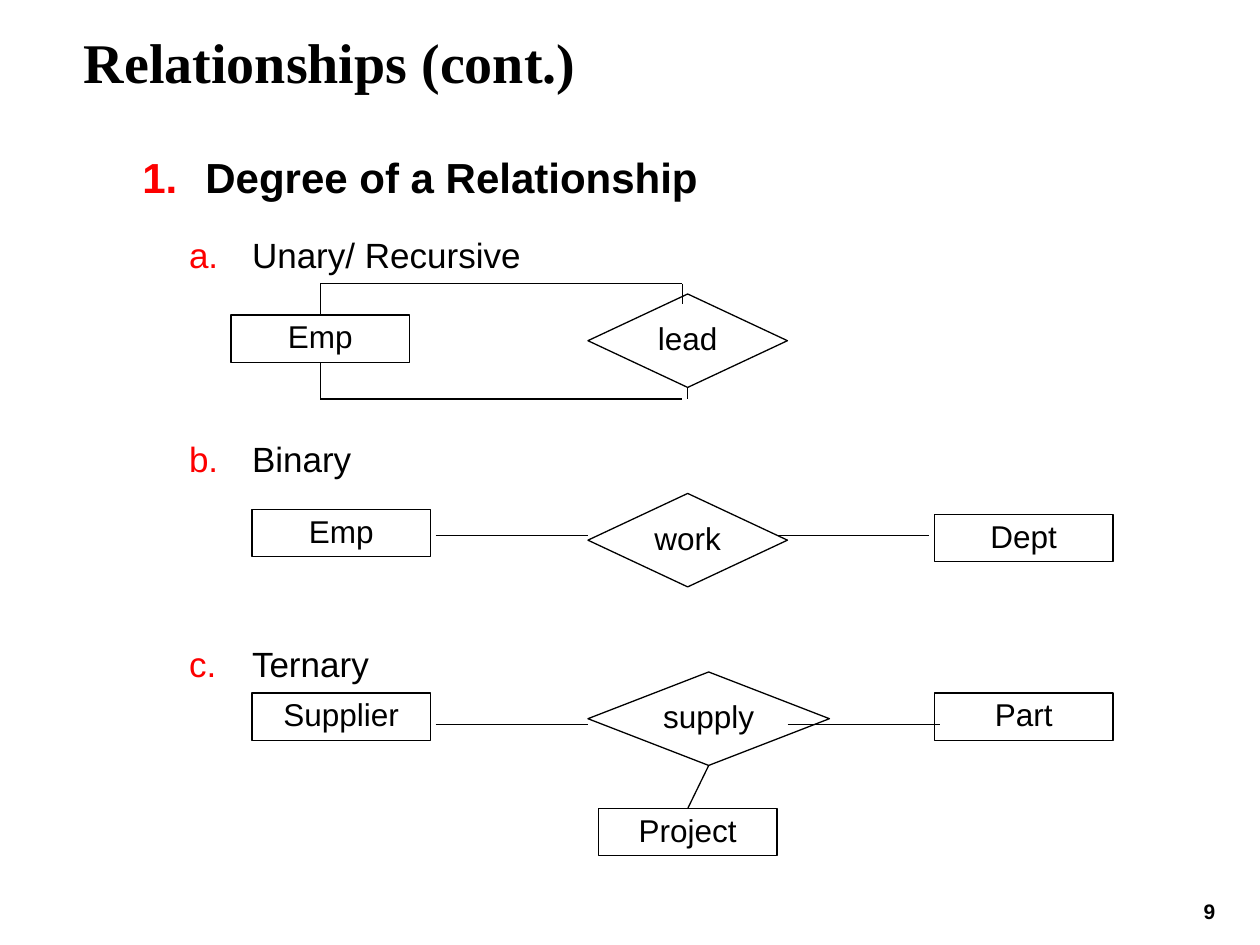
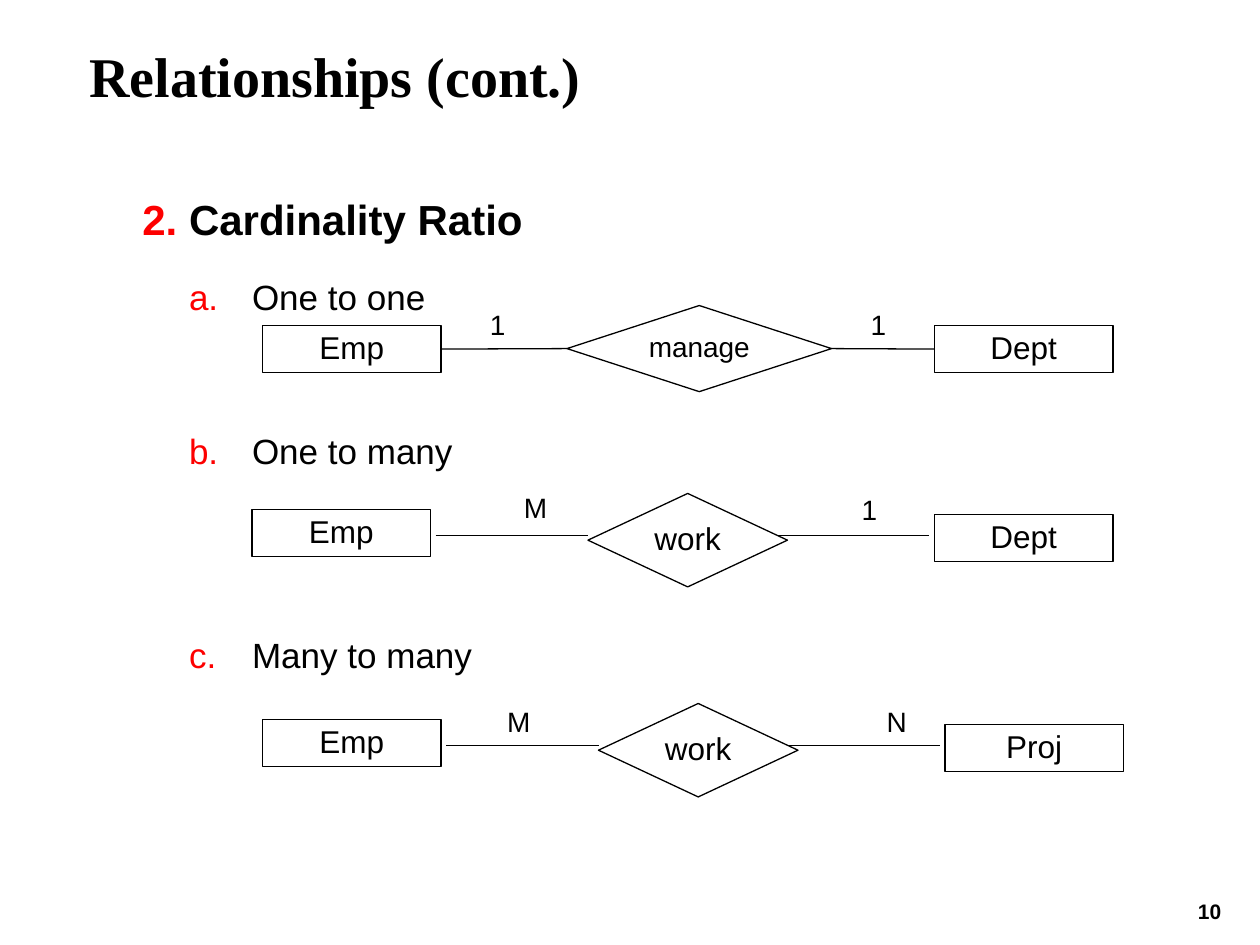
from dataclasses import dataclass, field

import pptx
import pptx.dml.color
import pptx.enum.shapes
import pptx.enum.text
import pptx.oxml.ns
import pptx.util
from lxml import etree

SLIDE_WIDTH = pptx.util.Inches(10)
SLIDE_HEIGHT = pptx.util.Inches(7.5)
COLUMNS, ROWS = 240, 180
INK, NUMBER_RED = "000000", "FD0000"
BODY_FONT, TITLE_FONT = "Arial", "Times New Roman"
TOP, LEFT, BOTTOM, RIGHT = range(4)
RECTANGLE = pptx.enum.shapes.MSO_SHAPE.RECTANGLE
DIAMOND = pptx.enum.shapes.MSO_SHAPE.FLOWCHART_DECISION
ANCHOR = pptx.enum.text.MSO_ANCHOR
ALIGN = pptx.enum.text.PP_ALIGN
LINE_PITCH = 29  # points taken by one empty 20 pt outline row
ITEM_SPACE = 6


@dataclass(frozen=True)
class Node:
    """An entity or a relationship, placed in grid units."""
    text: str
    left: float
    top: float
    width: float = 34
    height: float = 9
    kind: int = RECTANGLE
    size: int = 18


@dataclass(frozen=True)
class Joint:
    node: Node
    site: int


@dataclass(frozen=True)
class Point:
    column: float
    row: float


@dataclass(frozen=True)
class Link:
    start: Point | Joint
    end: Point | Joint


@dataclass(frozen=True)
class Label:
    text: str
    left: float
    top: float


@dataclass
class Diagram:
    nodes: list[Node]
    links: list[Link]
    labels: list[Label] = field(default_factory=list)


@dataclass(frozen=True)
class Item:
    text: str
    rows_skipped: int = 0


@dataclass
class Page:
    number: int
    title_at: Point
    outline_top: float
    heading: str
    heading_number: int
    heading_margin: float
    heading_hang: float
    items: list[Item]
    diagrams: list[Diagram]


def x(columns: float) -> int:
    return round(SLIDE_WIDTH * columns / COLUMNS)


def y(rows: float) -> int:
    return round(SLIDE_HEIGHT * rows / ROWS)


def color(value: str) -> pptx.dml.color.RGBColor:
    return pptx.dml.color.RGBColor.from_string(value)


def relationship(text: str, left: float, top: float, width: float = 38,
                 height: float = 17.8, size: int = 18) -> Node:
    return Node(text, left, top, width, height, DIAMOND, size)


def horizontal(left: float, right: float, row: float) -> Link:
    return Link(Point(left, row), Point(right, row))


def unary() -> Diagram:
    employee = Node("Emp", 44, 60)
    lead = relationship("lead", 112, 56)
    upper, lower = Point(61, 54), Point(61, 76)
    upper_end = Point(130, 54)
    return Diagram([employee, lead], [
        Link(Joint(employee, TOP), upper),
        Link(upper, upper_end),
        Link(upper_end, Point(130, 58)),
        Link(lower, Point(130, 76)),
        Link(lower, Joint(employee, BOTTOM)),
        Link(Point(131, 76), Joint(lead, BOTTOM)),
    ])


def work_row(other: str, left: float, top: float, *labels: Label) -> Diagram:
    """Emp - work - other; left and top are those of the Emp box."""
    nodes = [Node("Emp", left, top), Node(other, left + 130, top + 1),
             relationship("work", left + 64, top - 3)]
    links = [horizontal(left + start, left + start + 29, top + 5)
             for start in (35, 100)]
    return Diagram(nodes, links, list(labels))


def ternary() -> Diagram:
    project = Node("Project", 114, 154)
    supply = relationship("supply", 112, 128, 46)
    nodes = [Node("Supplier", 48, 132), Node("Part", 178, 132), project, supply]
    return Diagram(nodes, [
        horizontal(83, 112, 138), horizontal(150, 179, 138),
        Link(Joint(project, TOP), Joint(supply, BOTTOM)),
    ])


def one_to_one() -> Diagram:
    employee, department = Node("Emp", 50, 62), Node("Dept", 178, 62)
    manage = relationship("manage", 108, 58.2, 50.4, 16.4, 16)
    return Diagram([employee, department, manage], [
        Link(Joint(employee, RIGHT), Joint(manage, LEFT)),
        Link(Joint(manage, RIGHT), Joint(department, LEFT)),
    ], [Label("1", 90, 58), Label("1", 162.5, 58)])


def format_frame(shape, size: float, bold: bool = False, font: str = BODY_FONT,
                 anchor=ANCHOR.MIDDLE, alignment=ALIGN.CENTER, spacing: float = 0.9) -> None:
    frame = shape.text_frame
    frame.word_wrap = True
    frame.vertical_anchor = anchor
    frame.margin_left = frame.margin_right = frame.margin_top = frame.margin_bottom = 0
    for paragraph in frame.paragraphs:
        paragraph.alignment = alignment
        paragraph.line_spacing = spacing
        format_runs(paragraph, size, bold, font)


def format_runs(paragraph, size: float, bold: bool, font: str = BODY_FONT) -> None:
    for run in paragraph.runs:
        run.font.size = pptx.util.Pt(size)
        run.font.bold = bold
        run.font.name = font
        run.font.color.rgb = color(INK)


def add_text(slide, text: str, left: float, top: float, width: float, height: float,
             size: float, **style) -> None:
    box = slide.shapes.add_textbox(x(left), y(top), x(width), y(height))
    box.text_frame.text = text
    format_frame(box, size, **style)


def add_node(slide, node: Node):
    shape = slide.shapes.add_shape(node.kind, x(node.left), y(node.top),
                                   x(node.width), y(node.height))
    shape.shadow.inherit = False
    shape.fill.background()
    shape.line.color.rgb = color(INK)
    shape.line.width = pptx.util.Pt(0.75)
    shape.text_frame.text = node.text
    format_frame(shape, node.size)
    return shape


def add_link(slide, link: Link, shapes: dict) -> None:
    ends = [end if isinstance(end, Point) else Point(0, 0) for end in (link.start, link.end)]
    connector = slide.shapes.add_connector(
        pptx.enum.shapes.MSO_CONNECTOR.STRAIGHT,
        *(value for end in ends for value in (x(end.column), y(end.row))))
    connector.line.color.rgb = color(INK)
    connector.line.width = pptx.util.Pt(0.75)
    etree.SubElement(connector._element.spPr, pptx.oxml.ns.qn("a:effectLst"))
    for end, connect in ((link.start, connector.begin_connect), (link.end, connector.end_connect)):
        if isinstance(end, Joint):
            connect(shapes[end.node], end.site)


def add_diagram(slide, diagram: Diagram) -> None:
    shapes = {node: add_node(slide, node) for node in diagram.nodes}
    for link in diagram.links:
        add_link(slide, link, shapes)
    for label in diagram.labels:
        add_text(slide, label.text, label.left, label.top, 9.6, 8.2, 16)


def number_paragraph(paragraph, scheme: str, margin: float, hang: float, start: int = 1) -> None:
    """Give a paragraph a red automatic number; margin and hang in inches."""
    properties = paragraph._p.get_or_add_pPr()
    properties.set("marL", str(pptx.util.Inches(margin)))
    properties.set("indent", str(-pptx.util.Inches(hang)))
    bullet_color = etree.SubElement(properties, pptx.oxml.ns.qn("a:buClr"))
    etree.SubElement(bullet_color, pptx.oxml.ns.qn("a:srgbClr"), val=NUMBER_RED)
    bullet = etree.SubElement(properties, pptx.oxml.ns.qn("a:buAutoNum"), type=scheme)
    if start > 1:
        bullet.set("startAt", str(start))


def add_outline(slide, page: Page) -> None:
    box = slide.shapes.add_textbox(x(18), y(page.outline_top), x(198), y(124))
    box.text_frame.text = "\n".join([page.heading, *(item.text for item in page.items)])
    format_frame(box, 20, anchor=ANCHOR.TOP, alignment=ALIGN.LEFT, spacing=1)
    heading, *entries = box.text_frame.paragraphs
    heading.level = 1
    heading.line_spacing = 1.5
    heading.space_before = pptx.util.Pt(ITEM_SPACE)
    format_runs(heading, 24, True)
    number_paragraph(heading, "arabicPeriod", page.heading_margin, page.heading_hang,
                     page.heading_number)
    for paragraph, item in zip(entries, page.items):
        paragraph.level = 2
        paragraph.line_spacing = 1 if item.rows_skipped else 1.5
        paragraph.space_before = pptx.util.Pt(ITEM_SPACE + LINE_PITCH * item.rows_skipped)
        number_paragraph(paragraph, "alphaLcPeriod", 1.25, 0.5)


def add_page(presentation, page: Page) -> None:
    slide = presentation.slides.add_slide(presentation.slide_layouts[6])
    add_text(slide, str(page.number), 224.4, 170.4, 12, 6.7, 12, bold=True)
    add_text(slide, "Relationships (cont.)", page.title_at.column, page.title_at.row,
             199, 24.7, 32, bold=True, font=TITLE_FONT, anchor=ANCHOR.TOP,
             alignment=ALIGN.LEFT, spacing=1)
    add_outline(slide, page)
    for diagram in page.diagrams:
        add_diagram(slide, diagram)


PAGES = [
    Page(9, Point(16, 5.3), 24, "Degree of a Relationship", 1, 0.88, 0.5,
         [Item("Unary/ Recursive"), Item("Binary", 3), Item("Ternary", 3)],
         [unary(), work_row("Dept", 48, 97), ternary()]),
    Page(10, Point(17, 8), 32, "Cardinality Ratio", 2, 0.75, 0.37,
         [Item("One to one"), Item("One to many", 2), Item("Many to many", 3)],
         [one_to_one(),
          work_row("Dept", 48, 97, Label("M", 97.2, 92.9), Label("1", 160.8, 93.4)),
          work_row("Proj", 50, 137, Label("M", 94, 133.7), Label("N", 166, 133.7))]),
]


def main() -> None:
    presentation = pptx.Presentation()
    presentation.slide_width = SLIDE_WIDTH
    presentation.slide_height = SLIDE_HEIGHT
    for page in PAGES:
        add_page(presentation, page)
    presentation.save("out.pptx")


if __name__ == "__main__":
    main()
